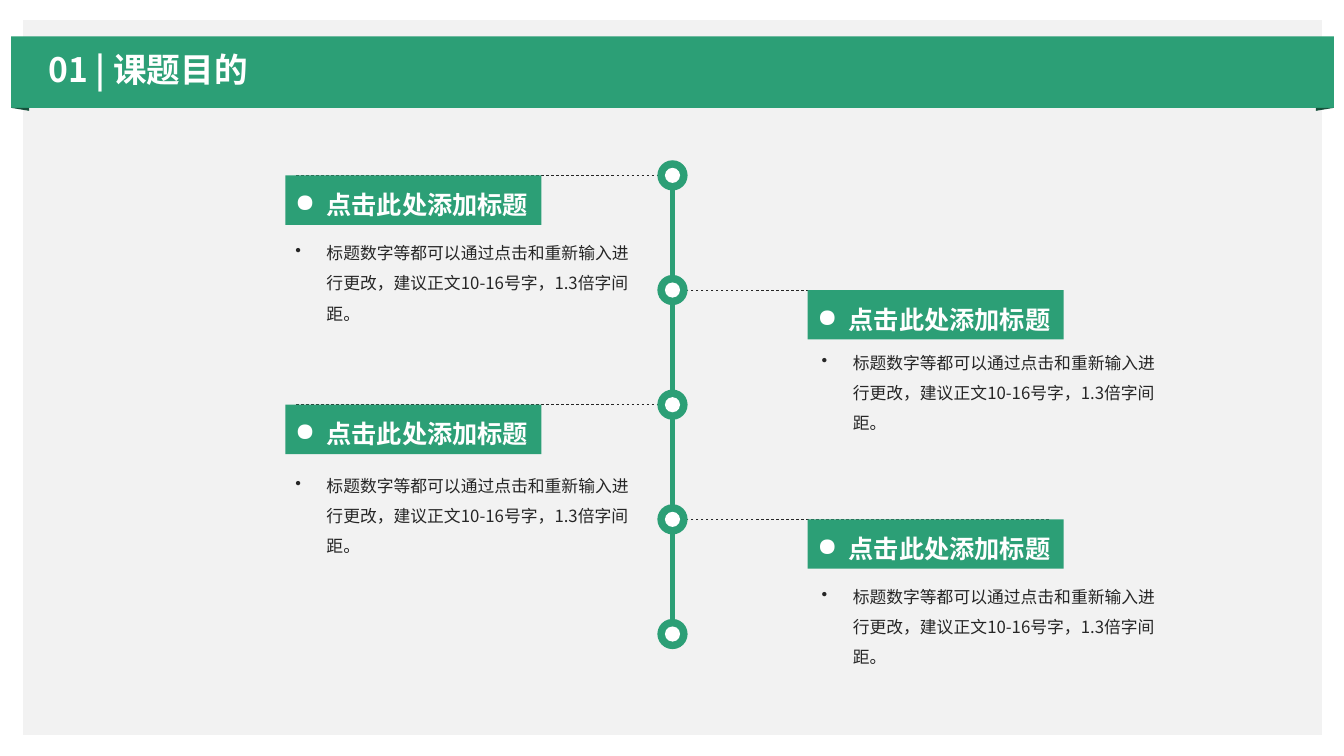
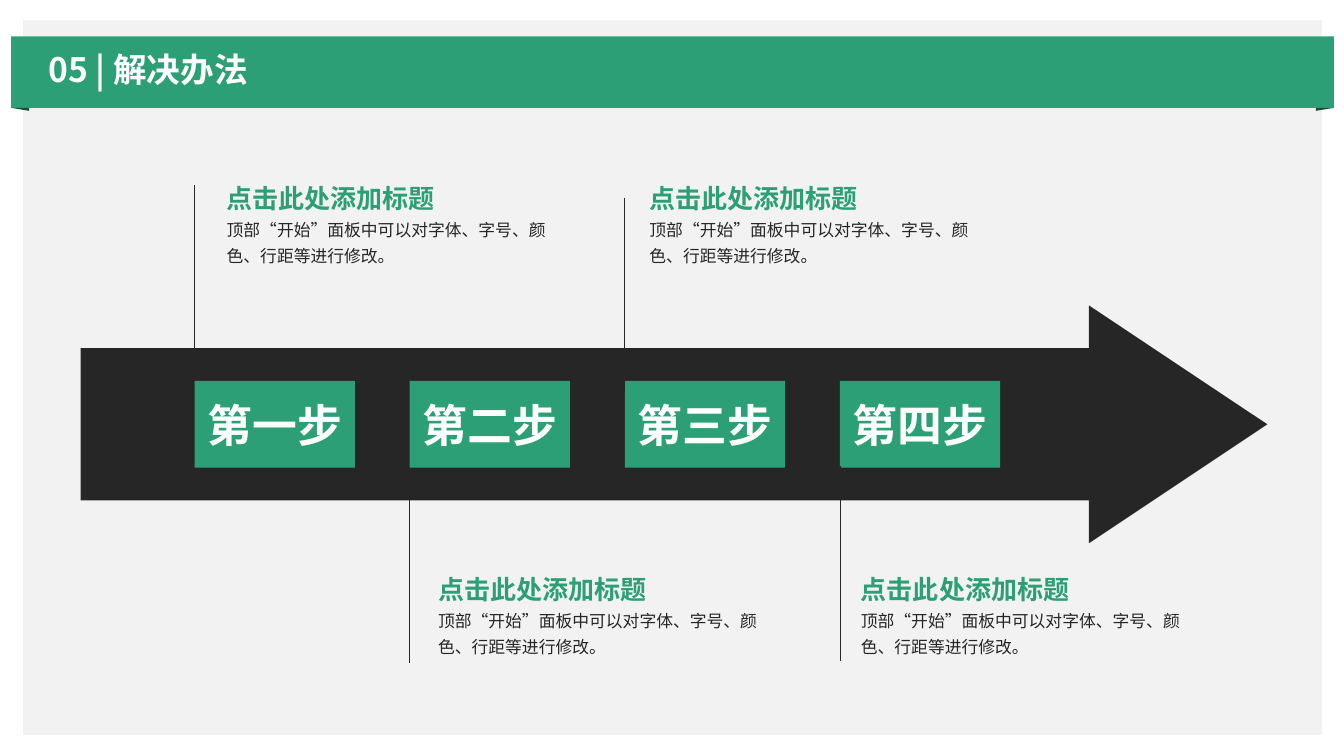
from dataclasses import dataclass

from lxml import etree
from pptx import Presentation
from pptx.dml.color import RGBColor
from pptx.enum.dml import MSO_LINE
from pptx.enum.shapes import MSO_CONNECTOR, MSO_SHAPE
from pptx.enum.text import MSO_ANCHOR, MSO_AUTO_SIZE, PP_ALIGN
from pptx.oxml.ns import qn
from pptx.util import Inches, Pt

RECT, OVAL, ARROW = MSO_SHAPE.RECTANGLE, MSO_SHAPE.OVAL, MSO_SHAPE.RIGHT_ARROW
LINE, DASH = MSO_CONNECTOR.STRAIGHT, MSO_LINE.DASH
TOP, MIDDLE = MSO_ANCHOR.TOP, MSO_ANCHOR.MIDDLE
LEFT, CENTER = PP_ALIGN.LEFT, PP_ALIGN.CENTER
FIT, FIXED = MSO_AUTO_SIZE.SHAPE_TO_FIT_TEXT, MSO_AUTO_SIZE.NONE


@dataclass(frozen=True)
class Theme:
    """Colours, font and type sizes of the deck."""
    green: str = "2C9F76"
    fold: str = "16503B"
    panel: str = "F2F2F2"
    dark: str = "262626"
    white: str = "FFFFFF"
    font: str = "Noto Sans CJK SC"
    title: float = 24
    tag: float = 18
    head: float = 18.6
    body: float = 12
    step: float = 32


T = Theme()

HEAD = "点击此处添加标题"
GOAL = "标题数字等都可以通过点击和重新输入进行更改，建议正文10-16号字，1.3倍字间距。"
TIP = "顶部“开始”面板中可以对字体、字号、颜色、行距等进行修改。"

SIDES = {
    "left": {"tag": 2.83, "note": 2.83, "end": 2.94},
    "right": {"tag": 8.01, "note": 8.05, "end": 10.4},
}
GOALS = [
    ("left", HEAD, GOAL, 2.26),
    ("right", HEAD, GOAL, 3.35),
    ("left", HEAD, GOAL, 4.57),
    ("right", HEAD, GOAL, 5.67),
]
STEPS = [
    ("第一步", HEAD, TIP, 1.67, 1.84),
    ("第二步", HEAD, TIP, 5.55, 4.64),
    ("第三步", HEAD, TIP, 1.67, 1.96),
    ("第四步", HEAD, TIP, 5.55, 4.62),
]


def spread(first, last, count):
    """Return evenly spaced positions from first to last."""
    gap = (last - first) / (count - 1)
    return [first + i * gap for i in range(count)]


def paint(shape, color):
    """Give a shape a flat fill without line or shadow."""
    shape.shadow.inherit = False
    shape.fill.solid()
    shape.fill.fore_color.rgb = RGBColor.from_string(color)
    shape.line.fill.background()
    return shape


def block(slide, kind, box, color):
    """Add a flat preset shape."""
    return paint(slide.shapes.add_shape(kind, *map(Inches, box)), color)


def rule(slide, start, end, color, width, dash=None):
    """Add a straight line."""
    line = slide.shapes.add_connector(LINE, *map(Inches, (*start, *end)))
    line.line.color.rgb = RGBColor.from_string(color)
    line.line.width = Pt(width)
    if dash:
        line.line.dash_style = dash
    etree.SubElement(line.element.spPr, qn("a:effectLst"))


def write(shape, text, size, color, bold=False, space=1.0, align=LEFT,
          anchor=TOP, wrap=True, fit=FIT, mark=None):
    """Set one paragraph of text in a shape."""
    frame = shape.text_frame
    frame.word_wrap, frame.auto_size = wrap, fit
    frame.vertical_anchor = anchor
    frame.text = text
    para = frame.paragraphs[0]
    para.alignment, para.line_spacing = align, space
    props = para._p.get_or_add_pPr()
    if mark:
        props.set("marL", str(Inches(0.31)))
        props.set("indent", str(Inches(-0.31)))
        etree.SubElement(props, qn("a:buChar"), char=mark)
    font = para.font
    font.name, font.size, font.bold = T.font, Pt(size), bold
    font.color.rgb = RGBColor.from_string(color)
    etree.SubElement(props.find(qn("a:defRPr")), qn("a:ea"), typeface=T.font)


def label(slide, box, *args, **style):
    """Add a text box."""
    write(slide.shapes.add_textbox(*map(Inches, box)), *args, **style)


def frame(slide, layout):
    """Draw panel, band and folds, and move them to the layout."""
    parts = [block(slide, RECT, (0.23, 0.2, 12.88, 7.09), T.panel),
             block(slide, RECT, (0.11, 0.36, 13.12, 0.71), T.green)]
    for outer, inner in ((0.11, 0.29), (13.23, 13.05)):
        pen = slide.shapes.build_freeform(Inches(outer), Inches(1.07))
        pen.add_line_segments([(Inches(inner), Inches(1.07)),
                               (Inches(inner), Inches(1.1))])
        parts.append(paint(pen.convert_to_shape(), T.fold))
    for part in parts:
        layout.shapes.element.append(part.element)


def start(deck, layout, text):
    """Add a slide with its title."""
    slide = deck.slides.add_slide(layout)
    title = slide.shapes.title
    title.left, title.top = Inches(0.38), Inches(0.46)
    title.width, title.height = Inches(12.52), Inches(0.51)
    write(title, text, T.title, T.white, bold=True, space=0.9,
          anchor=MIDDLE, fit=FIXED)
    return slide


def goals(slide):
    """Draw the timeline with its tags and notes."""
    mid = 6.67
    rows = spread(1.74, 6.29, len(GOALS) + 1)
    for (side, *_), y in zip(GOALS, rows):
        rule(slide, (SIDES[side]["end"], y), (mid, y), T.dark, 0.5, DASH)
    rule(slide, (mid, rows[0]), (mid, rows[-1]), T.green, 3)
    for y in rows:
        for size, color in ((0.3, T.green), (0.15, T.white)):
            box = (mid - size / 2, y - size / 2, size, size)
            block(slide, OVAL, box, color)
    for (side, head, note, top), y in zip(GOALS, rows):
        spot = SIDES[side]
        tag = block(slide, RECT, (spot["tag"], y, 2.54, 0.49), T.green)
        write(tag, head, T.tag, T.white, bold=True, space=1.3, wrap=False,
              mark="●")
        label(slide, (spot["note"], top, 3.51, 1.01), note, T.body, T.dark,
              space=1.5, mark="•")


def steps(slide):
    """Draw the arrow with its steps and tips."""
    arrow = block(slide, ARROW, (0.8, 3.03, 11.77, 2.36), T.dark)
    arrow.adjustments[0], arrow.adjustments[1] = 0.64, 0.75
    cols = spread(1.93, 8.33, len(STEPS))
    texts = spread(2.15, 8.44, len(STEPS))
    for (name, head, tip, top, stem), x, left in zip(STEPS, cols, texts):
        card = block(slide, RECT, (x, 3.78, 1.59, 0.86), T.green)
        write(card, name, T.step, T.white, bold=True, align=CENTER,
              anchor=MIDDLE, fit=FIXED)
        rule(slide, (x, stem), (x, stem + 1.94), T.dark, 0.5)
        label(slide, (left, top + 0.4, 3.44, 0.63), tip, T.body, T.dark,
              space=1.3)
        label(slide, (left, top, 2.29, 0.51), head, T.head, T.green,
              bold=True, space=1.3, wrap=False)


def main():
    """Build and save the deck."""
    deck = Presentation()
    deck.slide_width, deck.slide_height = Inches(13.33), Inches(7.5)
    layout = deck.slide_layouts[5]
    first = start(deck, layout, "01 | 课题目的")
    frame(first, layout)
    goals(first)
    steps(start(deck, layout, "05 | 解决办法"))
    deck.save("out.pptx")


if __name__ == "__main__":
    main()
